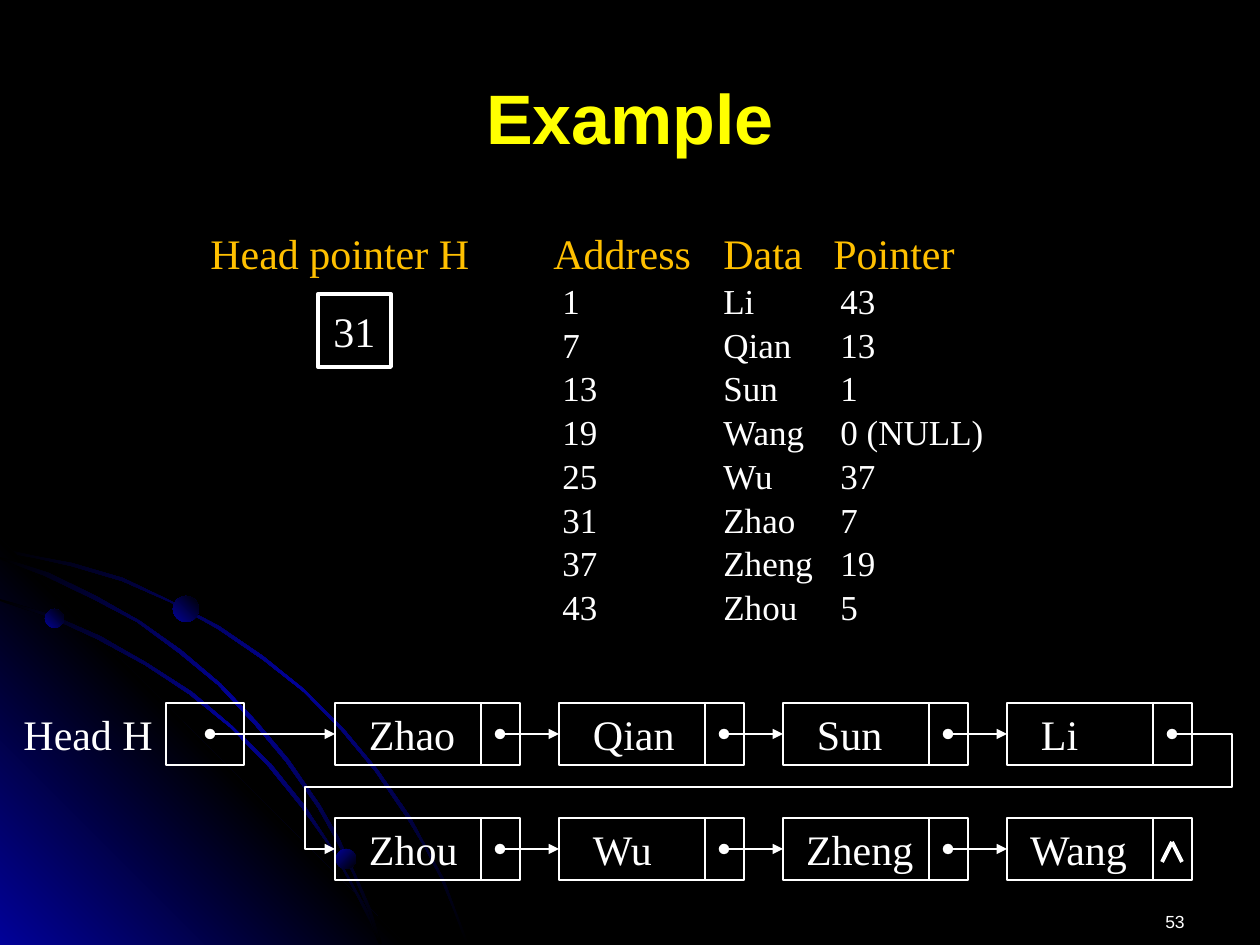
from collections import namedtuple
from itertools import pairwise

from lxml.etree import SubElement
from pptx import Presentation
from pptx.dml.color import RGBColor
from pptx.enum.shapes import MSO_CONNECTOR, MSO_SHAPE
from pptx.enum.text import MSO_ANCHOR, PP_ALIGN
from pptx.oxml.ns import qn
from pptx.util import Pt

PX = 914400 / 126
Box = namedtuple("Box", "x y w h")


class Theme:
    black, blue = "000000", "010199"
    white, gold, yellow = "FFFFFF", "FFC000", "FFFF00"
    serif, sans = "Times New Roman", "Arial"
    title, label, row, number = 40, 24, 20, 10
    thin, thick = 0.75, 2.25


OUTER_ARC = [
    (72, 25), (35, 18), (0, 10), (0, 14), (35, 20), (71, 28), (122, 43), (170, 64),
    (218, 91), (262, 121), (304, 154), (341, 192), (375, 233), (407, 280), (425, 310),
    (441, 341), (454, 373), (466, 406), (469, 406), (456, 373), (444, 341), (427, 310),
    (410, 278), (378, 232), (343, 190), (305, 152), (263, 118), (219, 88), (171, 63), (123, 40),
]
INNER_ARC = [
    (359, 362), (370, 384), (379, 406), (382, 406), (373, 382), (360, 359), (335, 314),
    (305, 268), (271, 226), (232, 188), (192, 154), (147, 125), (100, 98), (52, 77),
    (0, 61), (0, 63), (49, 79), (97, 101), (145, 127), (189, 156), (231, 190),
    (268, 228), (302, 270), (334, 315),
]
MIDDLE_ARC = [
    (0, 19), (0, 21), (45, 38), (93, 61), (137, 84), (179, 115), (218, 147), (255, 187),
    (286, 224), (318, 270), (336, 302), (353, 336), (368, 372), (379, 406), (382, 406),
    (370, 369), (355, 335), (339, 300), (320, 267), (289, 222), (257, 184), (221, 146),
    (181, 112), (140, 83), (96, 58), (49, 35),
]
CORNER = [(0, 0), (406, 407), (0, 407)]


def emu(*lengths):
    return [round(length * PX) for length in lengths]


def rgb(color):
    return RGBColor.from_string(color)


def write(paragraph, text, size, color, font=Theme.serif, bold=False):
    run = paragraph.add_run()
    run.text = text
    run.font.name, run.font.size, run.font.bold = font, Pt(size), bold
    run.font.color.rgb = rgb(color)


def text_frame(slide, box):
    frame = slide.shapes.add_textbox(*emu(*box)).text_frame
    frame.word_wrap = True
    return frame


def frame_box(slide, box, weight):
    outline = slide.shapes.add_shape(MSO_SHAPE.RECTANGLE, *emu(*box))
    outline.shadow.inherit = False
    outline.fill.background()
    outline.line.color.rgb = rgb(Theme.white)
    outline.line.width = Pt(weight)
    return outline


def add_ends(stroke):
    ln = stroke._element.spPr.find(qn("a:ln"))
    SubElement(ln, qn("a:headEnd"), type="oval")
    SubElement(ln, qn("a:tailEnd"), type="triangle")


def draw_line(slide, start, end, weight=Theme.thin):
    stroke = slide.shapes.add_connector(MSO_CONNECTOR.STRAIGHT, *emu(*start, *end))
    stroke.line.color.rgb = rgb(Theme.white)
    stroke.line.width = Pt(weight)
    SubElement(stroke._element.spPr, qn("a:effectLst"))
    return stroke


def link(slide, start, node):
    arrow = draw_line(slide, start, start)
    arrow.end_connect(node, 1)
    add_ends(arrow)


def outline_shape(slide, box, points, close):
    builder = slide.shapes.build_freeform(*points[0], scale=PX)
    builder.add_line_segments(points[1:], close=close)
    shape = builder.convert_to_shape(*emu(box.x, box.y))
    shape.shadow.inherit = False
    return shape


def shade(shape, colors, angle):
    shape.line.fill.background()
    shape.fill.gradient()
    grad = shape._element.spPr.find(qn("a:gradFill"))
    stops = grad.find(qn("a:gsLst"))
    for stop in list(stops):
        stops.remove(stop)
    for index, color in enumerate(colors):
        position = 100000 * index // (len(colors) - 1)
        stop = SubElement(stops, qn("a:gs"), pos=str(position))
        SubElement(stop, qn("a:srgbClr"), val=color)
    grad.find(qn("a:lin")).set("ang", str(angle * 60000))


def orbit_backdrop(slide, box):
    dark_ends = (Theme.black, Theme.blue, Theme.black)
    blue_ends = (Theme.blue, Theme.black, Theme.blue)
    for points, colors, angle in (
        (OUTER_ARC, dark_ends, 45), (CORNER, blue_ends, 315),
        (INNER_ARC, dark_ends, 45), (MIDDLE_ARC, dark_ends, 45),
    ):
        shade(outline_shape(slide, box, points, True), colors, angle)
    for x, y, size, angle in ((45, 71, 19, 315), (336, 311, 20, 45), (173, 58, 26, 315)):
        planet = slide.shapes.add_shape(
            MSO_SHAPE.OVAL, *emu(box.x + x, box.y + y, size, size))
        planet.shadow.inherit = False
        shade(planet, (Theme.blue, Theme.black), angle)


def heading(slide, box):
    frame = text_frame(slide, box)
    frame.vertical_anchor = MSO_ANCHOR.MIDDLE
    frame.paragraphs[0].alignment = PP_ALIGN.CENTER
    write(frame.paragraphs[0], "Example", Theme.title, Theme.yellow, Theme.sans, True)


def page_number(slide, box):
    number = text_frame(slide, box).paragraphs[0]
    number.alignment = PP_ALIGN.RIGHT
    write(number, "53", Theme.number, Theme.white, Theme.sans)


def head_pointer(slide, box):
    label = text_frame(slide, Box(box.x, box.y, box.w, 63)).paragraphs[0]
    write(label, "Head pointer H", Theme.label, Theme.gold)
    frame = frame_box(slide, Box(box.x + 120, box.y + 73, 73, 73), Theme.thick).text_frame
    frame.word_wrap = False
    frame.vertical_anchor = MSO_ANCHOR.MIDDLE
    frame.paragraphs[0].alignment = PP_ALIGN.CENTER
    write(frame.paragraphs[0], "31", Theme.label, Theme.white)


def set_tabs(paragraph, stops):
    tabs = SubElement(paragraph._p.get_or_add_pPr(), qn("a:tabLst"))
    for stop in emu(*stops):
        SubElement(tabs, qn("a:tab"), pos=str(stop), algn="l")


def memory_listing(slide, box):
    frame = text_frame(slide, box)
    header = frame.paragraphs[0]
    set_tabs(header, (170, 280))
    write(header, "Address\tData\tPointer", Theme.label, Theme.gold)
    for record in (
        ("1", "Li", "43"), ("7", "Qian", "13"), ("13", "Sun", "1"),
        ("19", "Wang", "0 (NULL)"), ("25", "Wu", "37"), ("31", "Zhao", "7"),
        ("37", "Zheng", "19"), ("43", "Zhou", "5"),
    ):
        row = frame.add_paragraph()
        set_tabs(row, (9, 170, 287))
        row.space_before = Pt(1)
        write(row, "\t" + "\t".join(record), Theme.row, Theme.white)


def list_node(slide, box, name, indent):
    node = frame_box(slide, box, Theme.thin)
    frame = node.text_frame
    frame.word_wrap = True
    frame.margin_left, frame.margin_right = emu(indent, 0)
    frame.vertical_anchor = MSO_ANCHOR.MIDDLE
    frame.paragraphs[0].alignment = PP_ALIGN.LEFT
    write(frame.paragraphs[0], name, Theme.label, Theme.white)
    divider = box.x + 146
    draw_line(slide, (divider, box.y), (divider, box.y + box.h))
    return node


def linked_list(slide, box):
    wide, narrow, node_w, node_h = 34, 23, 185, 62
    first_x, pitch_x, pitch_y, dot = 324, 224, 115, 165
    label = text_frame(slide, Box(box.x, box.y - 1, 160, 63)).paragraphs[0]
    write(label, "Head H", Theme.label, Theme.white)
    frame_box(slide, Box(box.x + 155, box.y, 78, node_h), Theme.thin)
    chains = (
        (("Zhao", wide), ("Qian", wide), ("Sun", wide), ("Li", wide)),
        (("Zhou", wide), ("Wu", wide), ("Zheng", narrow), ("Wang", narrow)),
    )
    for line, chain in enumerate(chains):
        top = box.y + line * pitch_y
        lefts = [box.x + first_x + column * pitch_x for column in range(len(chain))]
        nodes = [list_node(slide, Box(left, top, node_w, node_h), *entry)
                 for left, entry in zip(lefts, chain)]
        for left, (_, target) in zip(lefts, pairwise(nodes)):
            link(slide, (left + dot, top + node_h // 2), target)
        if line == 0:
            link(slide, (box.x + 199, top + node_h // 2), nodes[0])
    middle, last_x = node_h // 2, first_x + 3 * pitch_x
    wrap = outline_shape(slide, box, [
        (last_x + dot, middle), (box.w, middle), (box.w, 84), (first_x - 30, 84),
        (first_x - 30, middle + pitch_y), (first_x, middle + pitch_y)], False)
    wrap.fill.background()
    wrap.line.color.rgb = rgb(Theme.white)
    wrap.line.width = Pt(Theme.thin)
    add_ends(wrap)
    tip = (box.x + last_x + dot, box.y + pitch_y + 24)
    for side in (-10, 10):
        draw_line(slide, (tip[0] + side, tip[1] + 20), tip, Theme.thick)


def main():
    deck = Presentation()
    deck.slide_width, deck.slide_height = emu(1260, 945)
    slide = deck.slides.add_slide(deck.slide_layouts[6])
    slide.background.fill.solid()
    slide.background.fill.fore_color.rgb = rgb(Theme.black)
    orbit_backdrop(slide, Box(0, 538, 469, 407))
    page_number(slide, Box(903, 905, 294, 33))
    memory_listing(slide, Box(541, 221, 456, 403))
    head_pointer(slide, Box(198, 221, 290, 146))
    heading(slide, Box(63, 38, 1134, 158))
    linked_list(slide, Box(11, 703, 1221, 177))
    deck.save("out.pptx")


if __name__ == "__main__":
    main()
